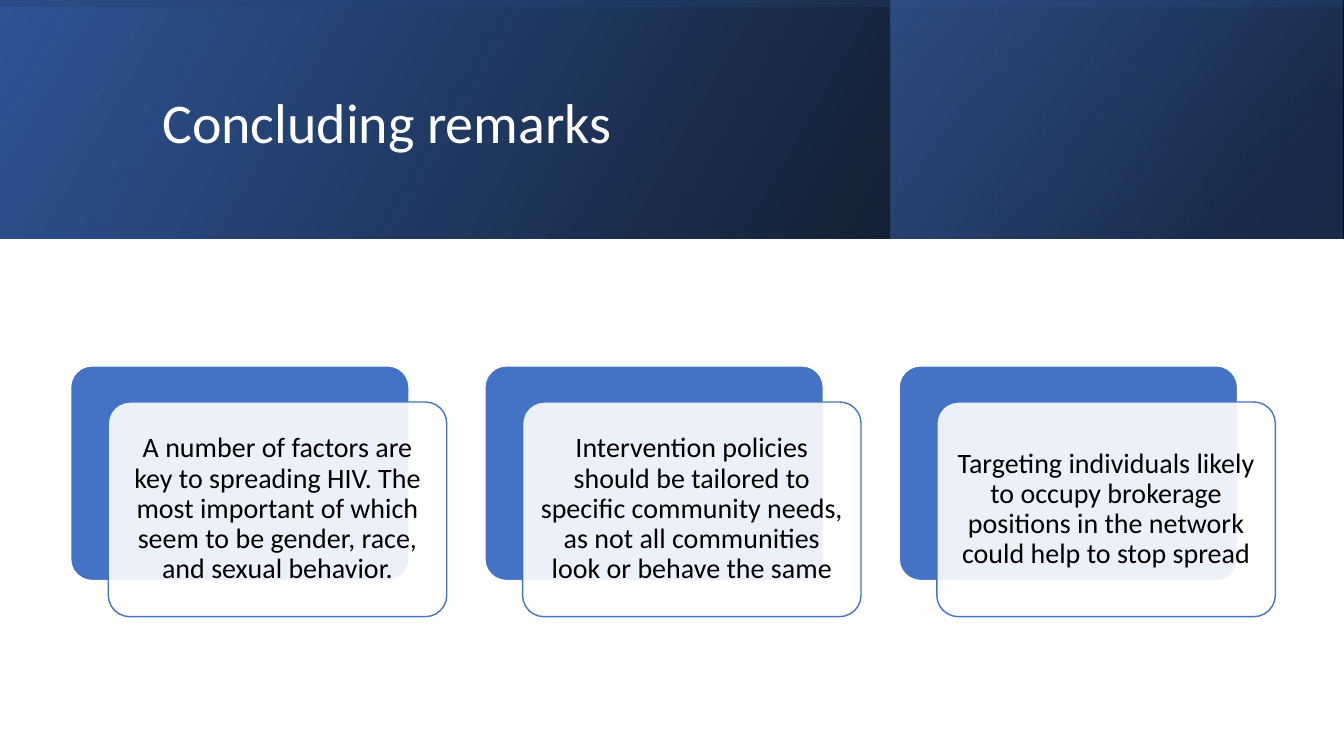
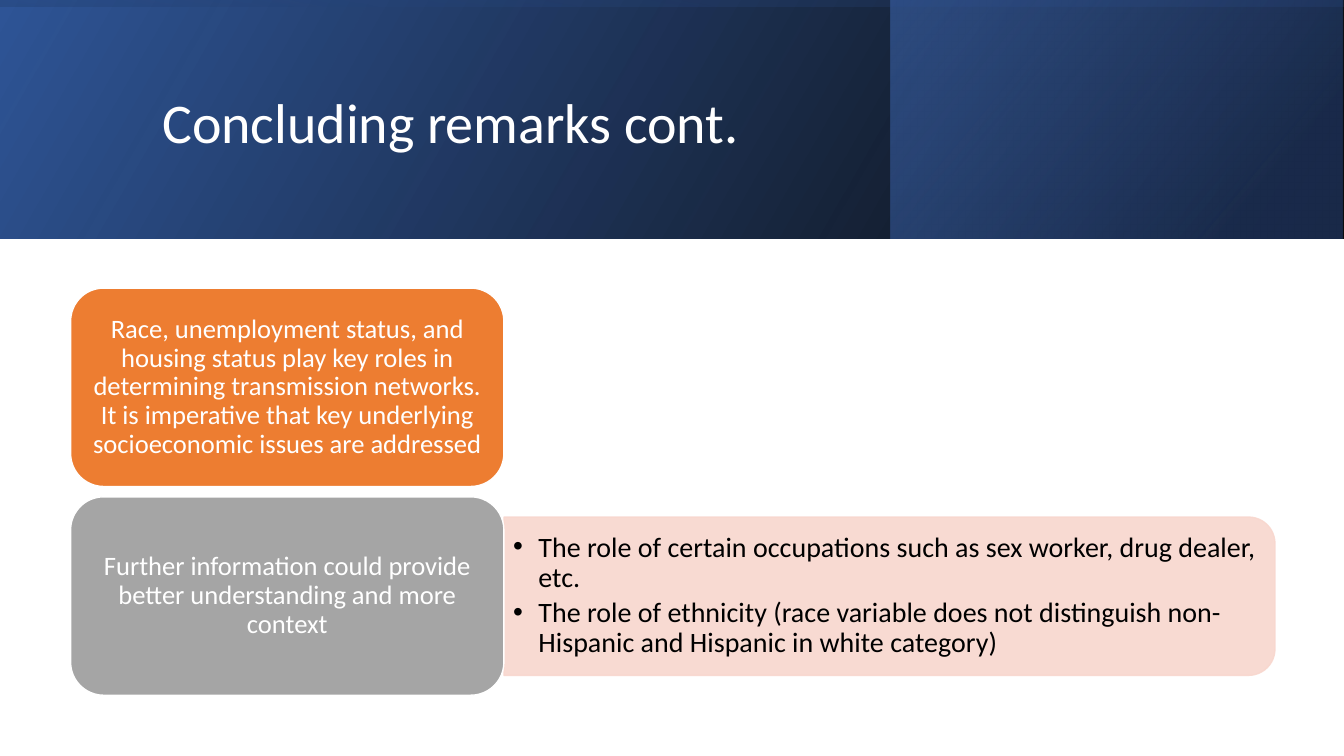
from dataclasses import dataclass

from lxml import etree
from pptx import Presentation
from pptx.dml.color import RGBColor
from pptx.enum.shapes import MSO_SHAPE
from pptx.enum.text import MSO_ANCHOR, PP_ALIGN
from pptx.oxml.ns import qn
from pptx.util import Cm, Pt

RECTANGLE = MSO_SHAPE.RECTANGLE
ROUNDED = MSO_SHAPE.ROUNDED_RECTANGLE
ROUNDED_TOP = MSO_SHAPE.ROUND_2_SAME_RECTANGLE
MIDDLE = MSO_ANCHOR.MIDDLE
LEFT, CENTER = PP_ALIGN.LEFT, PP_ALIGN.CENTER


@dataclass(frozen=True)
class Theme:
    font: str = "Calibri"
    white: str = "FFFFFF"
    black: str = "000000"
    blue: str = "4472C4"
    deep_blue: str = "2F5597"
    navy: str = "203864"
    orange: str = "ED7D31"
    grey: str = "A5A5A5"
    blush: str = "F8D7CE"
    title_size: int = 40
    body_size: int = 20
    topic_size: int = 19


THEME = Theme()

# Lengths in centimetres
SLIDE_WIDTH, SLIDE_HEIGHT = 33.87, 19.05
BAND_HEIGHT = 6.02
ACCENT_WIDTH = 11.38
MARGIN = 1.78
CARD_WIDTH, CARD_HEIGHT, CARD_PITCH, CARD_TOP = 8.53, 5.41, 10.44, 9.22
CARD_SHIFT_X, CARD_SHIFT_Y = 0.95, 0.91
TOPIC_WIDTH, TOPIC_HEIGHT, TOPIC_PITCH, TOPIC_TOP = 10.92, 5, 5.26, 7.26

REMARKS = [
    "A number of factors are key to spreading HIV. The most important of which "
    "seem to be gender, race, and sexual behavior.",
    "Intervention policies should be tailored to specific community needs, as "
    "not all communities look or behave the same",
    "Targeting individuals likely to occupy brokerage positions in the network "
    "could help to stop spread",
]
TOPICS = [
    ("Race, unemployment status, and housing status play key roles in "
     "determining transmission networks. It is imperative that key underlying "
     "socioeconomic issues are addressed", THEME.orange),
    ("Further information could provide better understanding and more context",
     THEME.grey),
]
DETAILS = [
    "The role of certain occupations such as sex worker, drug dealer, etc.",
    "The role of ethnicity (race variable does not distinguish non-Hispanic "
    "and Hispanic in white category)",
]


# Formatting helpers
def apply_format(target, values):
    for name, value in values.items():
        setattr(target, name, value)


def set_alpha(parent, percent):
    color = next(parent.iter(qn("a:srgbClr")))
    etree.SubElement(color, qn("a:alpha"), val=str(percent * 1000))


def set_gradient(shape, stops, angle):
    """Fill with (position, colour, opacity) stops, all in percent."""
    gradient = etree.Element(qn("a:gradFill"), rotWithShape="1")
    stop_list = etree.SubElement(gradient, qn("a:gsLst"))
    for position, color, opacity in stops:
        stop = etree.SubElement(stop_list, qn("a:gs"), pos=str(position * 1000))
        etree.SubElement(stop, qn("a:srgbClr"), val=color)
        set_alpha(stop, opacity)
    etree.SubElement(gradient, qn("a:lin"), ang=str(angle * 60000), scaled="0")
    properties = shape.fill._xPr
    properties.find(qn("a:prstGeom")).addnext(gradient)


def set_bullet(paragraph):
    properties = paragraph._p.get_or_add_pPr()
    indent = Cm(0.64)
    properties.set("marL", str(indent))
    properties.set("indent", str(-indent))
    etree.SubElement(properties, qn("a:buFont"), typeface="Arial")
    etree.SubElement(properties, qn("a:buChar"), char="•")


# Element builders
def add_block(slide, kind, frame, fill=None, line=None, opacity=100, turn=0):
    """Add a preset shape; frame is the area covered after turning."""
    left, top, width, height = frame
    if turn in (90, 270):
        left, top = left + (width - height) / 2, top + (height - width) / 2
        width, height = height, width
    shape = slide.shapes.add_shape(kind, *map(Cm, (left, top, width, height)))
    shape.shadow.inherit = False
    shape.rotation = turn
    if fill:
        shape.fill.solid()
        shape.fill.fore_color.rgb = RGBColor.from_string(fill)
        if opacity < 100:
            set_alpha(shape.fill._xPr.find(qn("a:solidFill")), opacity)
    if line:
        shape.line.color.rgb = RGBColor.from_string(line)
        shape.line.width = Pt(1)
    else:
        shape.line.fill.background()
    return shape


def write_text(shape, texts, size, color, align=LEFT, margins=(0.2, 0.1),
               bullets=False):
    side, edge = map(Cm, margins)
    frame = shape.text_frame
    apply_format(frame, {
        "word_wrap": True, "vertical_anchor": MIDDLE,
        "margin_left": side, "margin_right": side,
        "margin_top": edge, "margin_bottom": edge,
    })
    for index, text in enumerate(texts):
        paragraph = frame.add_paragraph() if index else frame.paragraphs[0]
        apply_format(paragraph, {"alignment": align, "line_spacing": 0.9})
        if bullets:
            paragraph.space_after = Pt(3.6)
            set_bullet(paragraph)
        run = paragraph.add_run()
        run.text = text
        apply_format(run.font, {"name": THEME.font, "size": Pt(size)})
        run.font.color.rgb = RGBColor.from_string(color)


def add_textbox(slide, frame, texts, size, color, **options):
    box = slide.shapes.add_textbox(*map(Cm, frame))
    write_text(box, texts, size, color, **options)


def add_header(slide, title):
    band = (0, 0, SLIDE_WIDTH, BAND_HEIGHT)
    accent = (22.45, 0, ACCENT_WIDTH, BAND_HEIGHT)
    layers = [
        (band, 0, 330, [(0, THEME.black, 96), (100, THEME.deep_blue, 100)]),
        (accent, 0, 320, [(19, THEME.navy, 68), (100, THEME.blue, 48)]),
        (band, 270, 350, [(23, THEME.deep_blue, 16), (99, THEME.black, 45)]),
    ]
    for frame, turn, angle, stops in layers:
        shape = add_block(slide, RECTANGLE, frame, turn=turn)
        set_gradient(shape, stops, angle)
        shape._element.spPr.find(qn("a:xfrm")).set("flipH", "1")
    add_textbox(slide, (3.84, 0.97, 27, 4.37), [title], THEME.title_size,
                THEME.white, margins=(0.25, 0.13))


def add_card(slide, left, text):
    back = (left, CARD_TOP, CARD_WIDTH, CARD_HEIGHT)
    front = (left + CARD_SHIFT_X, CARD_TOP + CARD_SHIFT_Y,
             CARD_WIDTH, CARD_HEIGHT)
    for frame, fill, line, opacity in ((back, THEME.blue, THEME.white, 100),
                                       (front, THEME.white, THEME.blue, 90)):
        shape = add_block(slide, ROUNDED, frame, fill, line, opacity)
        shape.adjustments[0] = 0.1
    write_text(shape, [text], THEME.body_size, THEME.black, align=CENTER,
               margins=(0.2, 0.2))


def add_topic(slide, top, text, fill):
    shape = add_block(slide, ROUNDED, (MARGIN, top, TOPIC_WIDTH, TOPIC_HEIGHT),
                      fill, THEME.white)
    write_text(shape, [text], THEME.topic_size, THEME.white, align=CENTER)


def add_details(slide):
    panel = add_block(slide, ROUNDED_TOP, (12.7, 13.03, 19.43, 3.99),
                      THEME.blush, THEME.blush, opacity=90, turn=90)
    set_alpha(panel.line._ln, 90)
    add_textbox(slide, (12.73, 13.21, 19.23, 3.61), DETAILS, THEME.body_size,
                THEME.black, bullets=True)


# Slides
def add_slide(presentation, title):
    slide = presentation.slides.add_slide(presentation.slide_layouts[6])
    add_header(slide, title)
    return slide


def main():
    presentation = Presentation()
    apply_format(presentation, {"slide_width": Cm(SLIDE_WIDTH),
                                "slide_height": Cm(SLIDE_HEIGHT)})

    slide = add_slide(presentation, "Concluding remarks")
    for index, text in enumerate(REMARKS):
        add_card(slide, MARGIN + index * CARD_PITCH, text)

    slide = add_slide(presentation, "Concluding remarks cont.")
    add_details(slide)
    for index, (text, fill) in enumerate(TOPICS):
        add_topic(slide, TOPIC_TOP + index * TOPIC_PITCH, text, fill)

    presentation.save("out.pptx")


if __name__ == "__main__":
    main()
